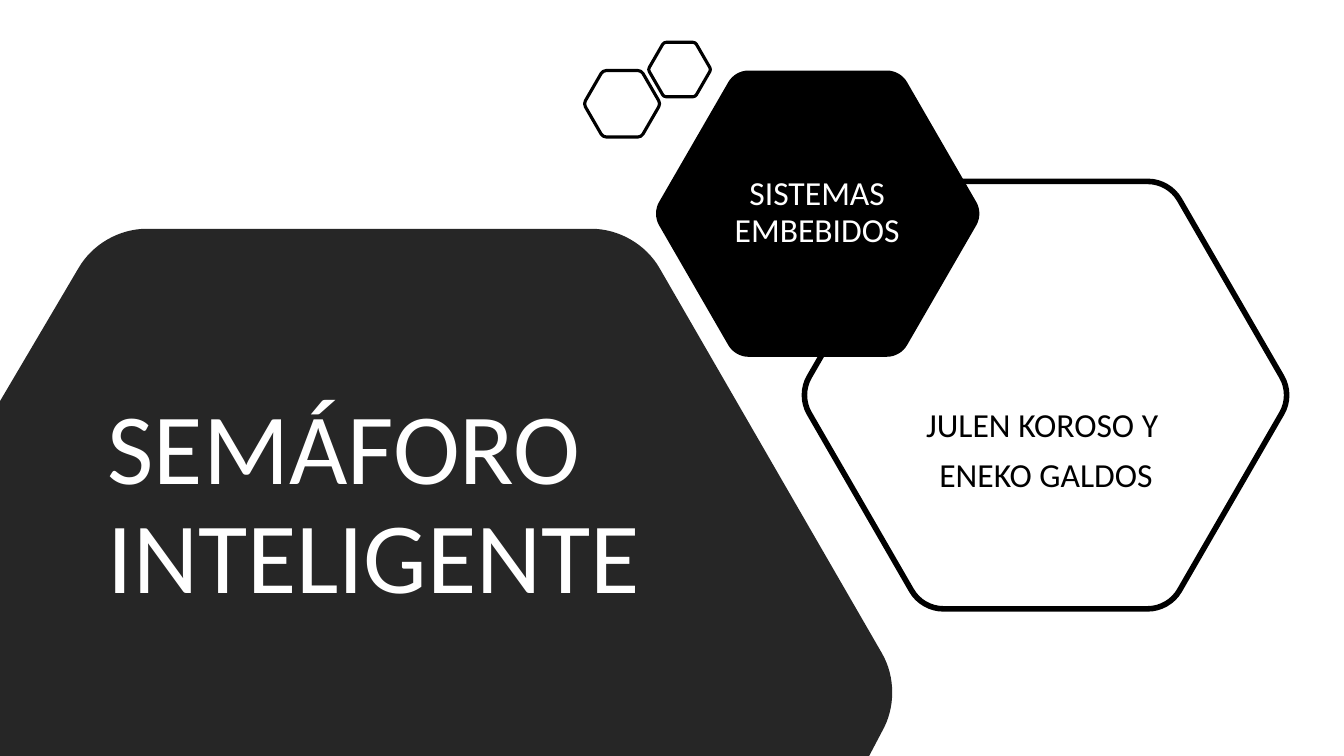
"""Build a title slide of rounded hexagons for a smart traffic light project."""
from math import cos, radians, sin

from pptx import Presentation
from pptx.dml.color import RGBColor
from pptx.enum.text import MSO_ANCHOR, PP_ALIGN
from pptx.oxml.ns import qn
from pptx.util import Inches, Pt

COLOURS = {"black": "000000", "charcoal": "262626", "white": "FFFFFF"}


def colour(name):
    """Return the named colour."""
    return RGBColor.from_string(COLOURS[name])


def corner_curves(centre_x, centre_y, apothem, radius, corners):
    """Return start, two handles and end of the curve at each hexagon corner."""
    reach = (apothem - radius) / cos(radians(30))
    handle = radius * 0.35
    points = []
    for corner in corners:
        arc_x = centre_x + reach * cos(radians(corner))
        arc_y = centre_y + reach * sin(radians(corner))
        for turn, tangent in ((-30, 0), (-30, handle), (30, -handle), (30, 0)):
            angle = radians(corner + turn)
            points.append((arc_x + radius * cos(angle) - tangent * sin(angle),
                           arc_y + radius * sin(angle) + tangent * cos(angle)))
    return points


deck = Presentation()
deck.slide_width, deck.slide_height = Inches(13.33), Inches(7.5)
page = deck.slides.add_slide(deck.slide_layouts[6])

all_corners = range(0, 360, 60)
slide_edge = [(8.62, 7.5), (0, 7.5), (0, 3.98)]
hexagons = [
    ((10.37, 3.92, 2.12, 0.36), all_corners, [], None, 4),
    ((8.11, 2.12, 1.42, 0.23), all_corners, [], "black", None),
    ((3.66, 6.87, 4.6, 0.78), (240, 300, 360), slide_edge, "charcoal", None),
    ((6.17, 1.03, 0.33, 0.06), all_corners, [], None, 2.25),
    ((6.74, 0.69, 0.27, 0.04), all_corners, [], None, 2.25),
]
for geometry, corners, extra_points, fill, line_width in hexagons:
    points = [(Inches(x), Inches(y))
              for x, y in corner_curves(*geometry, corners) + extra_points]
    builder = page.shapes.build_freeform(*points[0])
    builder.add_line_segments(points[1:], close=True)
    hexagon = builder.convert_to_shape()
    outline = next(hexagon._element.iter(qn("a:path")))
    steps = outline.findall(qn("a:lnTo"))
    for first in range(0, 4 * len(corners), 4):
        curve = steps[first]
        curve.tag = qn("a:cubicBezTo")
        for step in steps[first + 1:first + 3]:
            curve.append(step[0])
            outline.remove(step)
    hexagon.shadow.inherit = False
    if fill:
        hexagon.fill.solid()
        hexagon.fill.fore_color.rgb = colour(fill)
        hexagon.line.fill.background()
    else:
        hexagon.fill.background()
        hexagon.line.color.rgb = colour("black")
        hexagon.line.width = Pt(line_width)

texts = [
    ((0.97, 3.24, 5.6, 3.57), ["SEMÁFORO INTELIGENTE"], 72, "white",
     PP_ALIGN.LEFT, MSO_ANCHOR.MIDDLE),
    ((6.89, 1.46, 2.43, 1.31), ["SISTEMAS EMBEBIDOS"], 24, "white",
     PP_ALIGN.CENTER, MSO_ANCHOR.MIDDLE),
    ((8.51, 4.0, 3.73, 0.97), ["JULEN KOROSO Y ", "ENEKO GALDOS"], 24, "black",
     PP_ALIGN.CENTER, MSO_ANCHOR.TOP),
]
for place, lines, size, text_colour, alignment, anchor in texts:
    box = page.shapes.add_textbox(*[Inches(length) for length in place])
    frame = box.text_frame
    frame.word_wrap = True
    frame.vertical_anchor = anchor
    for index, line in enumerate(lines):
        para = frame.add_paragraph() if index else frame.paragraphs[0]
        para_format = {"alignment": alignment, "line_spacing": 0.9}
        if index:
            para_format["space_before"] = Pt(10)
        for attribute, value in para_format.items():
            setattr(para, attribute, value)
        span = para.add_run()
        span.text = line
        for attribute, value in {"name": "Calibri", "size": Pt(size)}.items():
            setattr(span.font, attribute, value)
        span.font.color.rgb = colour(text_colour)

deck.save("out.pptx")
